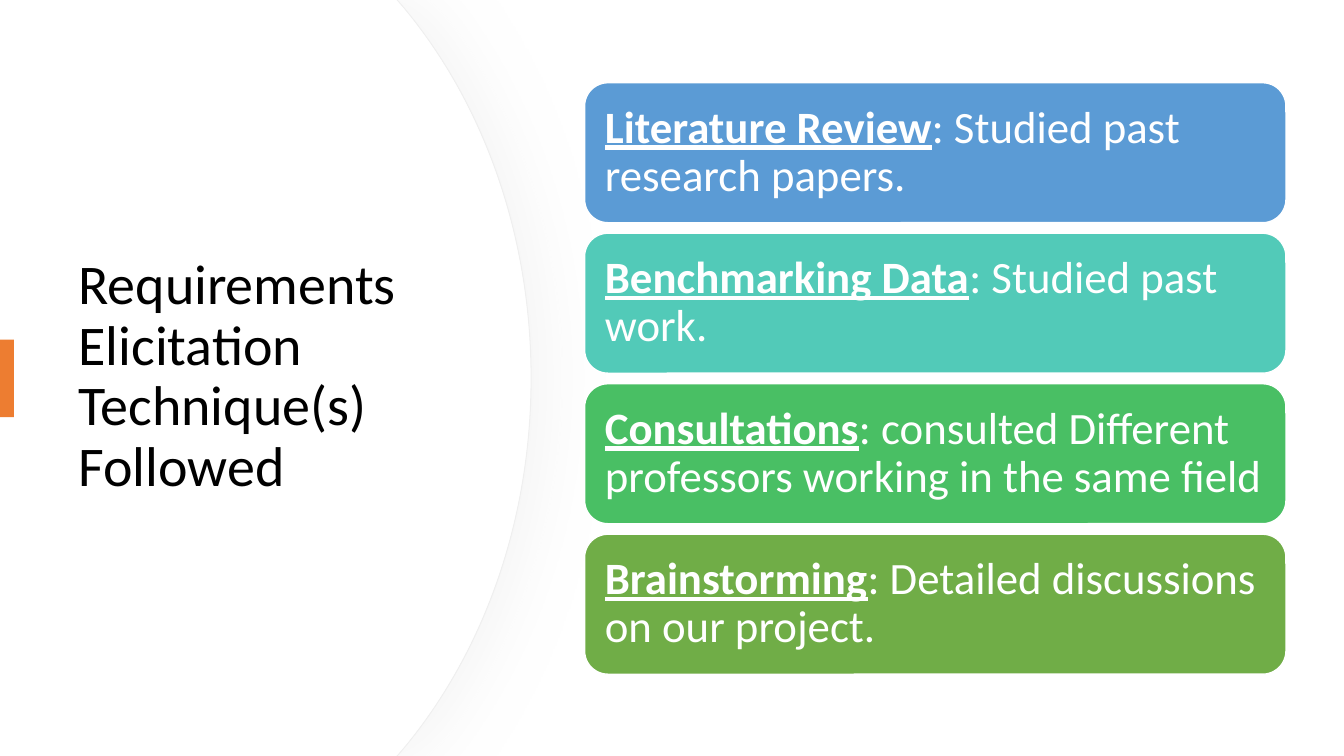
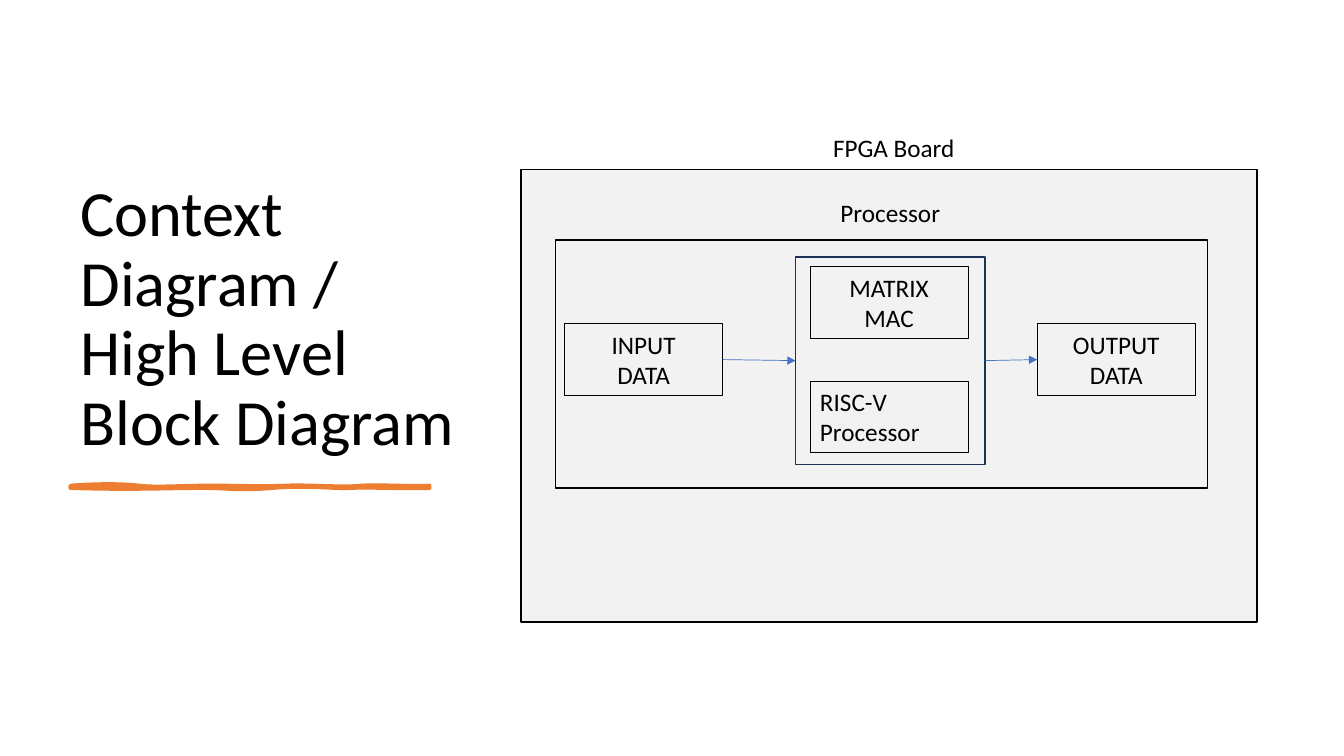
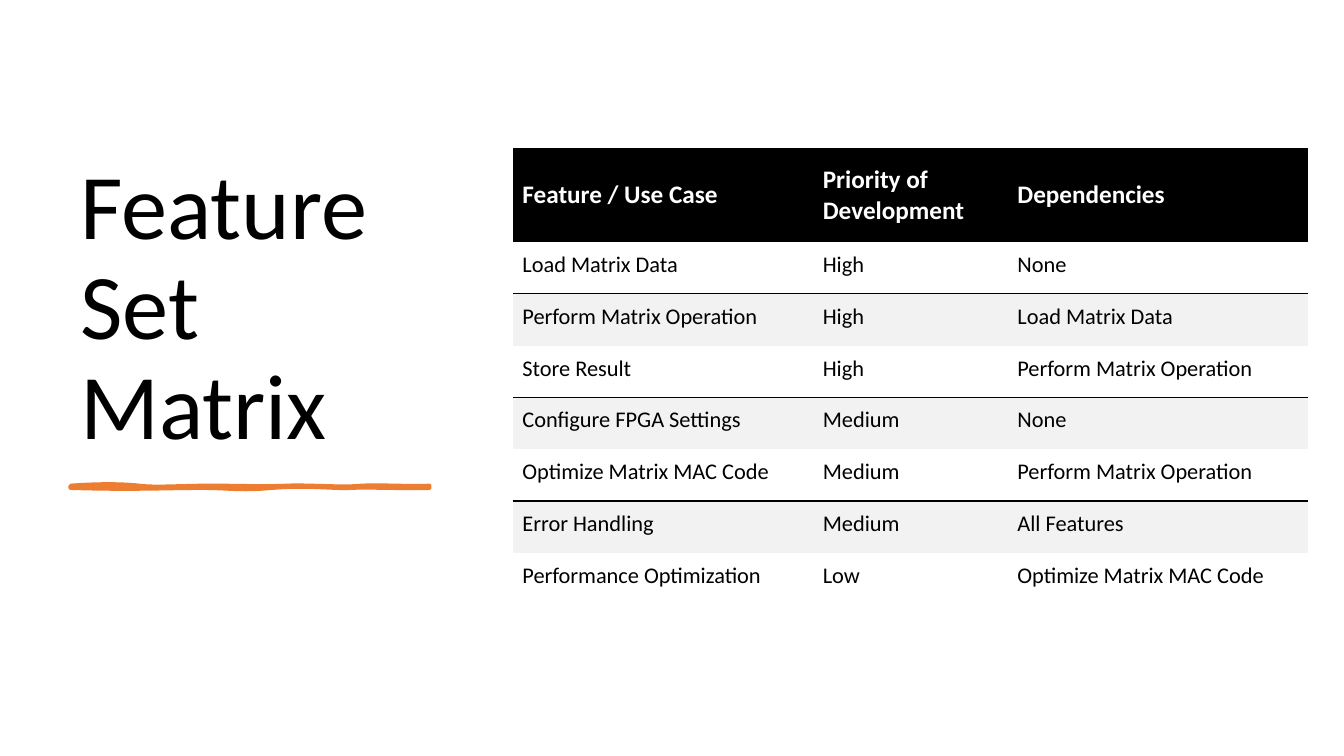
import lxml.etree
import pptx
import pptx.dml.color
import pptx.enum.shapes
import pptx.enum.text
import pptx.oxml.ns
import pptx.util

Pt = pptx.util.Pt
RGBColor = pptx.dml.color.RGBColor
ALIGN = pptx.enum.text.PP_ALIGN
ANCHOR = pptx.enum.text.MSO_ANCHOR
SHAPE = pptx.enum.shapes.MSO_SHAPE
qn = pptx.oxml.ns.qn

BLACK = RGBColor(0x00, 0x00, 0x00)
WHITE = RGBColor(0xFF, 0xFF, 0xFF)
ORANGE = RGBColor(0xED, 0x7D, 0x31)
BLUE = RGBColor(0x5B, 0x9B, 0xD5)
TEAL = RGBColor(0x52, 0xCA, 0xB8)
EMERALD = RGBColor(0x49, 0xBF, 0x64)
GREEN = RGBColor(0x70, 0xAD, 0x47)
NAVY = RGBColor(0x1E, 0x32, 0x56)
ARROW_BLUE = RGBColor(0x44, 0x72, 0xC4)
PALE_EDGE = RGBColor(0xEF, 0xEF, 0xEF)
BAND_GREY = RGBColor(0xF2, 0xF2, 0xF2)
FONT = "Calibri"
NO_TABLE_STYLE = "{2D5ABB26-0587-4C30-8999-92F81FD0307C}"


def curved_shape(slide, points, curves, fill):
    """Draw a closed outline of Bezier curves (three points each), then straight sides."""
    corners = [(Pt(x), Pt(y)) for x, y in points]
    builder = slide.shapes.build_freeform(*corners[0])
    builder.add_line_segments(corners[1:])
    shape = builder.convert_to_shape()
    sides = list(shape._element.iter(qn("a:lnTo")))
    for i in range(0, 3 * curves, 3):
        curve = lxml.etree.Element(qn("a:cubicBezTo"))
        sides[i].addprevious(curve)
        for side in sides[i:i + 3]:
            curve.append(side[0])
            side.getparent().remove(side)
    shape.shadow.inherit = False
    shape.fill.solid()
    shape.fill.fore_color.rgb = fill
    return shape


def write(frame, text, size, color=BLACK, align=ALIGN.LEFT, anchor=ANCHOR.MIDDLE, spacing=1.0):
    frame.text = text
    frame.word_wrap = True
    frame.vertical_anchor = anchor
    for paragraph in frame.paragraphs:
        paragraph.alignment = align
        paragraph.line_spacing = spacing
        for run in paragraph.runs:
            run.font.name = FONT
            run.font.size = Pt(size)
            run.font.color.rgb = color


deck = pptx.Presentation()
deck.slide_width, deck.slide_height = Pt(960), Pt(540)
elicitation, context, features = [deck.slides.add_slide(deck.slide_layouts[6]) for _ in range(3)]

# Curved panel behind the first title: a shadowed edge and a plain face
for edge in (379.4, 378.7):
    x = edge - 90.7
    panel = curved_shape(elicitation, [
        (x, 5.8), (edge - 34.5, 73.4), (edge, 167), (edge, 270),
        (edge, 373), (edge - 34.5, 466.6), (x, 534.2),
        (x - 5, 540), (0, 540), (0, 0), (x - 5, 0)], 2, WHITE)
    if edge == 379.4:
        panel.line.color.rgb = PALE_EDGE
        panel.line.width = Pt(0.75)
        effects = panel._element.spPr.find(qn("a:effectLst"))
        shadow = lxml.etree.SubElement(effects, qn("a:outerShdw"), blurRad=str(Pt(50)),
                                       dist=str(Pt(7)), dir="0", rotWithShape="0")
        tint = lxml.etree.SubElement(shadow, qn("a:srgbClr"), val="D9D9D9")
        lxml.etree.SubElement(tint, qn("a:alpha"), val="30000")
    else:
        panel.line.fill.background()

# Titles, two of them with a brush stroke below
BRUSH = [(50.4, 347), (69.8, 345.6), (87.1, 345.6), (99.4, 347),
         (111.6, 348.5), (127.4, 347), (150.5, 347),
         (173.5, 347), (187.2, 347.8), (204.5, 347),
         (221.8, 346.3), (244.1, 348.5), (258.5, 347),
         (272.9, 346.3), (296.6, 347.8), (306.7, 347),
         (306.7, 347.8), (306.7, 348.5), (306.7, 348.5),
         (293.8, 349.2), (262.1, 347.8), (250.6, 348.5),
         (239, 349.2), (218.9, 346.3), (194.4, 348.5),
         (169.2, 350.6), (166.3, 348.5), (143.3, 348.5),
         (119.5, 348.5), (95, 349.9), (50.4, 348.5)]
for slide, text, size, box, anchor in (
        (elicitation, "Requirements Elicitation Technique(s) Followed", 40,
         (49, 91.4, 283.7, 356.4), ANCHOR.MIDDLE),
        (context, "Context Diagram / High Level Block Diagram", 46,
         (50.4, 50.2, 281.5, 281.5), ANCHOR.BOTTOM),
        (features, "Feature Set Matrix", 66,
         (50.4, 50.2, 281.5, 281.5), ANCHOR.BOTTOM)):
    title = slide.shapes.add_textbox(*map(Pt, box))
    write(title.text_frame, text, size, anchor=anchor, spacing=0.9)
    if slide is not elicitation:
        brush = curved_shape(slide, BRUSH, 10, ORANGE)
        brush._element.find(".//" + qn("a:path")).set("fill", "none")
        brush.line.color.rgb = ORANGE
        brush.line.width = Pt(3)

# Slide 1: technique cards
marker = elicitation.shapes.add_shape(SHAPE.RECTANGLE, Pt(0), Pt(242.6), Pt(10), Pt(55.4))
marker.shadow.inherit = False
marker.fill.solid()
marker.fill.fore_color.rgb = ORANGE
marker.line.fill.background()

techniques = (
    ("Literature Review", ": Studied past research papers.", BLUE),
    ("Benchmarking Data", ": Studied past work.", TEAL),
    ("Consultations", ": consulted Different professors working in the same field", EMERALD),
    ("Brainstorming", ": Detailed discussions on our project.", GREEN))
for i, (technique, detail, color) in enumerate(techniques):
    card = elicitation.shapes.add_shape(SHAPE.ROUNDED_RECTANGLE, Pt(417.6),
                                        Pt(59.1 + 107.5 * i), Pt(501), Pt(100))
    card.shadow.inherit = False
    card.fill.solid()
    card.fill.fore_color.rgb = color
    card.line.color.rgb = WHITE
    card.line.width = Pt(1)
    frame = card.text_frame
    frame.margin_left = frame.margin_right = frame.margin_top = frame.margin_bottom = Pt(9.6)
    write(frame, technique, 32, WHITE, spacing=0.9)
    heading = frame.paragraphs[0].runs[0]
    heading.font.bold = heading.font.underline = True
    detail_run = frame.paragraphs[0].add_run()
    detail_run.text = detail
    detail_run.font.name = FONT
    detail_run.font.size = Pt(32)
    detail_run.font.color.rgb = WHITE

# Slide 2: block diagram
BLOCK = (112.9, 50.9)
blocks = {}
for name, text, box, edge, width, align in (
        ("board", "", (372.2, 121, 525.6, 323.3), BLACK, 1, ALIGN.CENTER),
        ("matrix", "MATRIX\nMAC", (578.6, 190.7, *BLOCK), BLACK, 0.75, ALIGN.CENTER),
        ("riscv", "RISC-V\nProcessor", (578.6, 272.2, *BLOCK), BLACK, 0.75, ALIGN.LEFT),
        ("input", "INPUT\nDATA", (403.3, 231.4, *BLOCK), BLACK, 0.75, ALIGN.CENTER),
        ("output", "OUTPUT\nDATA", (740.9, 231.4, *BLOCK), BLACK, 0.75, ALIGN.CENTER),
        ("core", "", (568.3, 183.6, 135.3, 148), NAVY, 1, ALIGN.CENTER),
        ("processor", "", (396.7, 171.4, 465.8, 177.1), BLACK, 1, ALIGN.CENTER)):
    block = context.shapes.add_shape(SHAPE.RECTANGLE, *map(Pt, box))
    block.shadow.inherit = False
    block.fill.background()
    block.line.color.rgb = edge
    block.line.width = Pt(width)
    if text:
        write(block.text_frame, text, 18, align=align)
    blocks[name] = block

blocks["board"].fill.solid()
blocks["board"].fill.fore_color.rgb = BLACK
board_color = blocks["board"]._element.spPr.find(qn("a:solidFill"))[0]
lxml.etree.SubElement(board_color, qn("a:alpha"), val="5000")

for source, target in (("input", "core"), ("core", "output")):
    arrow = context.shapes.add_connector(pptx.enum.shapes.MSO_CONNECTOR.STRAIGHT, 0, 0, 0, 0)
    arrow.begin_connect(blocks[source], 3)
    arrow.end_connect(blocks[target], 1)
    arrow.line.color.rgb = ARROW_BLUE
    arrow.line.width = Pt(0.5)
    lxml.etree.SubElement(arrow.line._get_or_add_ln(), qn("a:tailEnd"), type="triangle")
    lxml.etree.SubElement(arrow._element.spPr, qn("a:effectLst"))

for text, left, top in (("Processor", 573.3, 137.5), ("FPGA Board", 575.8, 90.7)):
    label = context.shapes.add_textbox(Pt(left), Pt(top), Pt(125.3), Pt(29))
    write(label.text_frame, text, 18, align=ALIGN.CENTER, anchor=ANCHOR.TOP)

# Slide 3: feature table
rows = (
    ("Feature / Use Case", "Priority of Development", "Dependencies"),
    ("Load Matrix Data", "High", "None"),
    ("Perform Matrix Operation", "High", "Load Matrix Data"),
    ("Store Result", "High", "Perform Matrix Operation"),
    ("Configure FPGA Settings", "Medium", "None"),
    ("Optimize Matrix MAC Code", "Medium", "Perform Matrix Operation"),
    ("Error Handling", "Medium", "All Features"),
    ("Performance Optimization", "Low", "Optimize Matrix MAC Code"))
matrix = features.shapes.add_table(len(rows), 3, Pt(366.5), Pt(105.9), Pt(568.2), Pt(326)).table
matrix._tbl.tblPr.find(qn("a:tableStyleId")).text = NO_TABLE_STYLE
matrix.horz_banding = False
for column, width in zip(matrix.columns, (214.6, 139, 214.6)):
    column.width = Pt(width)
for r, texts in enumerate(rows):
    header = r == 0
    shaded = r > 0 and r % 2 == 0
    ruled_side = None
    if shaded:
        ruled_side = "a:lnT"
    elif 0 < r < len(rows) - 1:
        ruled_side = "a:lnB"
    matrix.rows[r].height = Pt(67 if header else 37)
    for c, text in enumerate(texts):
        cell = matrix.cell(r, c)
        cell.margin_left, cell.margin_right = Pt(6.7), Pt(5)
        cell.margin_top, cell.margin_bottom = Pt(9.5 if header else 5), Pt(9.5)
        write(cell.text_frame, text, 18 if header else 16, WHITE if header else BLACK)
        cell.text_frame.paragraphs[0].runs[0].font.bold = header
        cell.vertical_anchor = ANCHOR.MIDDLE
        if header or shaded:
            cell.fill.solid()
            cell.fill.fore_color.rgb = BLACK if header else BAND_GREY
        else:
            cell.fill.background()
        for position, side in enumerate(("a:lnL", "a:lnR", "a:lnT", "a:lnB")):
            border = lxml.etree.Element(qn(side), w=str(Pt(1)))
            if side == ruled_side:
                ink = lxml.etree.SubElement(border, qn("a:solidFill"))
                lxml.etree.SubElement(ink, qn("a:srgbClr"), val=str(BLACK))
            else:
                lxml.etree.SubElement(border, qn("a:noFill"))
            cell._tc.get_or_add_tcPr().insert(position, border)

deck.save("out.pptx")
